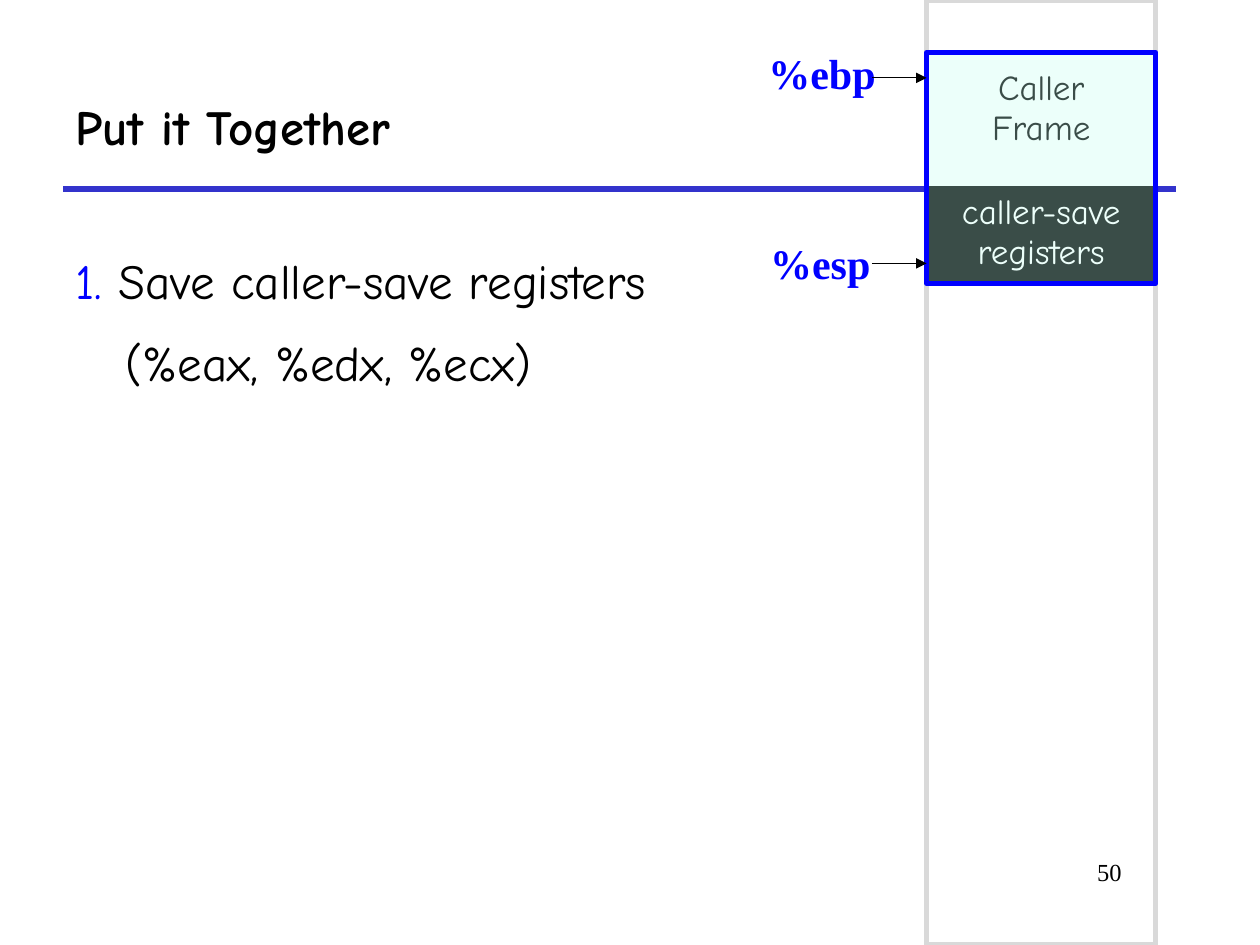
from lxml import etree
from pptx import Presentation
from pptx.dml.color import RGBColor
from pptx.enum.shapes import MSO_CONNECTOR, MSO_SHAPE
from pptx.enum.text import MSO_ANCHOR, PP_ALIGN
from pptx.oxml.ns import qn
from pptx.util import Pt

STRAIGHT, RECT = MSO_CONNECTOR.STRAIGHT, MSO_SHAPE.RECTANGLE
LEFT, CENTER, RIGHT = PP_ALIGN.LEFT, PP_ALIGN.CENTER, PP_ALIGN.RIGHT
TOP, MIDDLE = MSO_ANCHOR.TOP, MSO_ANCHOR.MIDDLE

BLACK = RGBColor(0x00, 0x00, 0x00)
WHITE = RGBColor(0xFF, 0xFF, 0xFF)
BLUE = RGBColor(0x00, 0x00, 0xFF)
RULE_BLUE = RGBColor(0x33, 0x33, 0xCC)
GRAY = RGBColor(0xD9, 0xD9, 0xD9)
MINT = RGBColor(0xC2, 0xFF, 0xF0)

COMIC, TIMES = "Comic Neue", "Times New Roman"

# Stack column and the caller's frame within it
STACK_X, STACK_W, SLIDE_H = 529.5, 131, 540
FRAME_Y, SAVED_Y, FRAME_END = 30, 106.6, 162


def set_font(font, name, size, color, bold=False):
    for key, value in dict(name=name, size=Pt(size), bold=bold).items():
        setattr(font, key, value)
    font.color.rgb = color


def add_text(s, box, text, font, align=LEFT):
    tb = s.shapes.add_textbox(*map(Pt, box))
    tf = tb.text_frame
    tf.word_wrap = True
    p = tf.paragraphs[0]
    p.text, p.alignment = text, align
    set_font(p.font, *font)
    return tf


def add_line(s, x1, y1, x2, y2, color, width, arrow=False):
    c = s.shapes.add_connector(STRAIGHT, Pt(x1), Pt(y1), Pt(x2), Pt(y2))
    c.line.color.rgb = color
    c.line.width = Pt(width)
    if arrow:
        etree.SubElement(c.line._get_or_add_ln(), qn("a:tailEnd"), type="triangle")
    etree.SubElement(c._element.spPr, qn("a:effectLst"))


def add_box(s, y, bottom, line, fill=None, opacity=100):
    sp = s.shapes.add_shape(RECT, Pt(STACK_X), Pt(y), Pt(STACK_W), Pt(bottom - y))
    sp.shadow.inherit = False
    sp.line.color.rgb = line
    sp.line.width = Pt(3)
    if fill is None:
        sp.fill.background()
        return
    sp.fill.solid()
    sp.fill.fore_color.rgb = fill
    clr = sp._element.spPr.find(qn("a:solidFill"))[0]
    etree.SubElement(clr, qn("a:alpha"), val=str(opacity * 1000))


def add_cell_table(s, y, text, color, fill=None, margin_top=3.6):
    """One-cell table reaching down to the end of the caller's frame."""
    height = Pt(FRAME_END - y)
    table = s.shapes.add_table(1, 1, Pt(STACK_X), Pt(y), Pt(STACK_W), height).table
    table.first_row = table.horz_banding = False
    cell = table.cell(0, 0)
    cell.margin_top = Pt(margin_top)
    tcPr = cell._tc.get_or_add_tcPr()
    for side in ("lnL", "lnR", "lnT", "lnB"):
        ln = etree.SubElement(tcPr, qn("a:" + side), w=str(Pt(1.08)))
        solid = etree.SubElement(ln, qn("a:solidFill"))
        etree.SubElement(solid, qn("a:srgbClr"), val=str(BLACK))
    if fill is None:
        cell.fill.background()
    else:
        cell.fill.solid()
        cell.fill.fore_color.rgb = fill
    p = cell.text_frame.paragraphs[0]
    p.text, p.alignment = text, CENTER
    set_font(p.font, COMIC, 20, color)


def add_pointer(s, text, x, y, arrow_y):
    """Register name with an arrow to the stack."""
    add_text(s, (x, y, 82, 36), text, (TIMES, 24, BLUE, True))
    add_line(s, 498.2, arrow_y, STACK_X, arrow_y, BLACK, 0.75, arrow=True)


def add_title(s, text):
    title = s.shapes.title
    box = dict(left=36, top=36, width=636, height=72)
    for key, value in box.items():
        setattr(title, key, Pt(value))
    tf = title.text_frame
    tf.vertical_anchor = MIDDLE
    p = tf.paragraphs[0]
    p.text, p.alignment = text, LEFT
    set_font(p.font, COMIC, 28, BLACK, True)


def add_step(s, number, lines):
    tf = add_text(s, (36, 126, 684, 348), number, (COMIC, 28, BLACK))
    tf.vertical_anchor = TOP
    p = tf.paragraphs[0]
    p.line_spacing = 1.4
    pPr = p._p.get_or_add_pPr()
    pPr.set("marL", str(Pt(28.8)))
    pPr.set("indent", str(-Pt(28.8)))
    p.runs[0].font.color.rgb = BLUE
    for i, line in enumerate(lines):
        if i:
            p.add_line_break()
        p.add_run().text = line
    for r in p.runs:
        r.font.name, r.font.size = COMIC, Pt(28)


def main():
    prs = Presentation()
    prs.slide_width, prs.slide_height = Pt(720), Pt(SLIDE_H)
    s = prs.slides.add_slide(prs.slide_layouts[5])

    # Heading, rule and step
    add_line(s, 36, 108, 672, 108, RULE_BLUE, 3)
    add_title(s, "Put it Together")
    add_step(s, "1. ", ["Save caller-save registers ", "(%eax, %edx, %ecx)"])

    # Stack with the caller's frame
    add_box(s, 0, SLIDE_H, GRAY)
    add_cell_table(s, SAVED_Y, "caller-save registers", WHITE, BLACK)
    add_text(s, (546, 486, 102, 36), "50", (TIMES, 14, BLACK), RIGHT)
    add_cell_table(s, FRAME_Y, "Caller\vFrame", BLACK, margin_top=9.5)
    add_box(s, FRAME_Y, FRAME_END, BLUE, MINT, 30)

    # Register pointers
    add_pointer(s, "%ebp", 432, 23.5, 44.5)
    add_pointer(s, "%esp", 433, 132, 150.5)

    prs.save("out.pptx")


if __name__ == "__main__":
    main()
